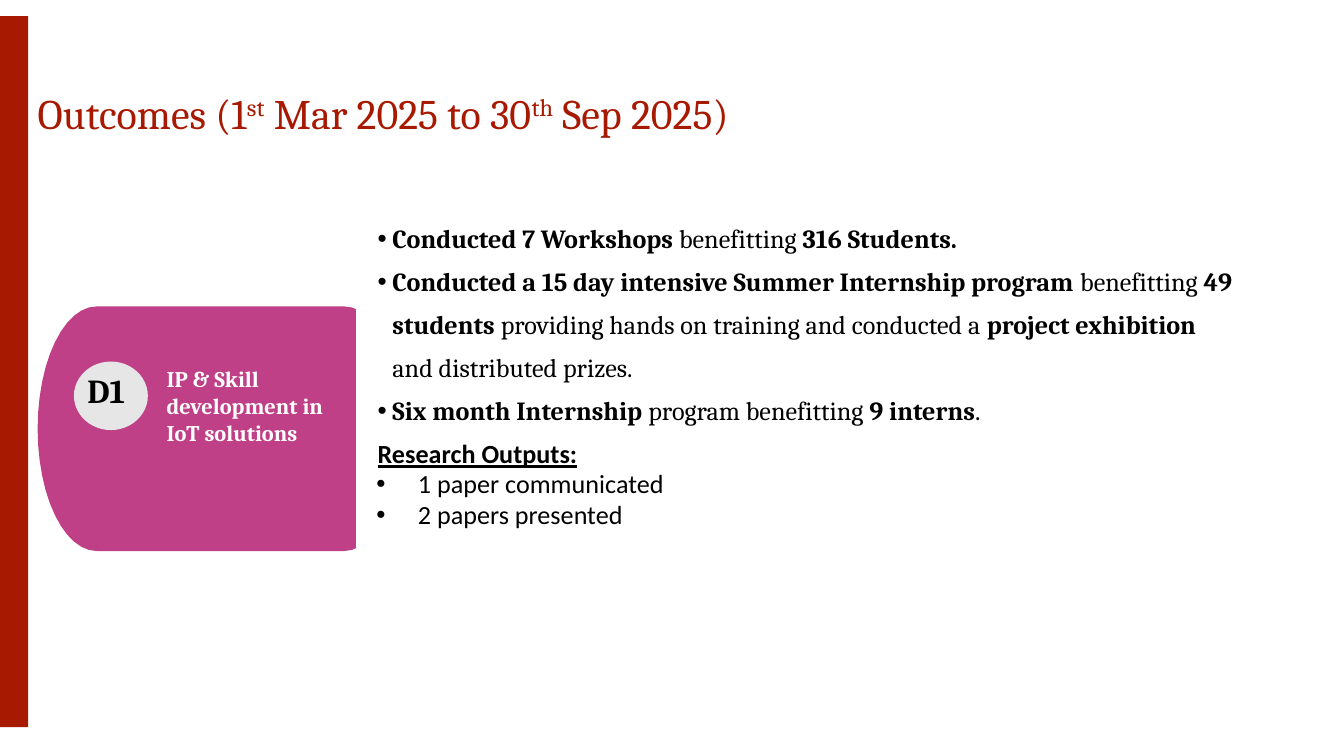
from math import cos, pi, sin

from lxml.etree import SubElement
from pptx import Presentation
from pptx.dml.color import RGBColor
from pptx.enum.shapes import MSO_SHAPE
from pptx.enum.text import MSO_ANCHOR, MSO_AUTO_SIZE, PP_ALIGN
from pptx.oxml.ns import qn
from pptx.util import Inches, Pt

RED = RGBColor(0xA7, 0x19, 0x01)
MAGENTA = RGBColor(0xC0, 0x40, 0x88)
GREY = RGBColor(0xE7, 0xE6, 0xE6)
WHITE = RGBColor(0xFF, 0xFF, 0xFF)
BLACK = RGBColor(0, 0, 0)

# Each run is its text and whether it is raised.
TITLE_RUNS = [("Outcomes (1", False), ("st", True), (" Mar 2025 to 30", False),
              ("th", True), (" Sep 2025)", False)]
# Each run is its text and whether it is bold.
OUTCOMES = [
    [("Conducted 7 Workshops", True), (" benefitting ", False), ("316 Students.", True)],
    [("Conducted a 15 day intensive Summer Internship program ", True),
     ("benefitting", False), (" 49 students ", True),
     ("providing hands on training and conducted a ", False),
     ("project exhibition ", True), ("and distributed prizes.", False)],
    [("Six month Internship ", True), ("program benefitting ", False),
     ("9 interns", True), (".", False)],
]
RESEARCH_OUTPUTS = ["1 paper communicated", "2 papers presented"]


def paint(shape, color):
    shape.shadow.inherit = False
    shape.fill.solid()
    shape.fill.fore_color.rgb = color
    shape.line.fill.background()


def add_block(slide, kind, left, top, width, height, color):
    shape = slide.shapes.add_shape(
        kind, Inches(left), Inches(top), Inches(width), Inches(height))
    paint(shape, color)


def add_pill(slide, left, top, width, height, end_width, color):
    """Draw a bar whose two ends are half ellipses, end_width wide."""
    steps = 24
    middle, half = top + height / 2, height / 2
    points = []
    for center, start in ((left + end_width, pi / 2),
                          (left + width - end_width, 3 * pi / 2)):
        for step in range(steps + 1):
            angle = start + pi * step / steps
            points.append((Inches(center + end_width * cos(angle)),
                           Inches(middle + half * sin(angle))))
    builder = slide.shapes.build_freeform(*points[0])
    builder.add_line_segments(points[1:], close=True)
    paint(builder.convert_to_shape(), color)


def set_frame(shape, left, top, width, height, inset_top=0.01):
    shape.left, shape.top = Inches(left), Inches(top)
    shape.width, shape.height = Inches(width), Inches(height)
    frame = shape.text_frame
    frame.word_wrap = True
    frame.auto_size = MSO_AUTO_SIZE.NONE
    frame.vertical_anchor = MSO_ANCHOR.TOP
    frame.margin_left = frame.margin_right = frame.margin_bottom = 0
    frame.margin_top = Inches(inset_top)
    return frame


def set_indent(paragraph, margin, indent=0):
    properties = paragraph._p.get_or_add_pPr()
    properties.set("marL", str(Inches(margin)))
    properties.set("indent", str(Inches(indent)))
    return properties


def add_run(paragraph, text, size, color, bold=False, font="Cambria"):
    run = paragraph.add_run()
    run.text = text
    run.font.name, run.font.size, run.font.bold = font, Pt(size), bold
    run.font.color.rgb = color
    return run


def add_label(slide, text, left, top, width, height, size, color):
    box = slide.shapes.add_textbox(0, 0, 0, 0)
    paragraph = set_frame(box, left, top, width, height).paragraphs[0]
    set_indent(paragraph, 0.01)
    add_run(paragraph, text, size, color, bold=True)


def fill_title(title):
    frame = set_frame(title, 0.26, 0.37, 6.99, 0.68, inset_top=0.28)
    paragraph = frame.paragraphs[0]
    paragraph.alignment = PP_ALIGN.LEFT
    set_indent(paragraph, 0.02)
    for text, raised in TITLE_RUNS:
        run = add_run(paragraph, text, 22.5, RED)
        if raised:
            run.font._element.set("baseline", "31000")


def format_item(paragraph, margin, indent, spacing, bullet=True):
    properties = set_indent(paragraph, margin, indent)
    if bullet:
        SubElement(properties, qn("a:buFont")).set("typeface", "Arial")
        SubElement(properties, qn("a:buChar")).set("char", "•")
    else:
        SubElement(properties, qn("a:buNone"))
    paragraph.line_spacing = spacing
    paragraph.space_before = Pt(0)


def fill_body(body):
    frame = set_frame(body, 2.8, 1.56, 6.38, 3.47)
    for index, runs in enumerate(OUTCOMES):
        paragraph = frame.add_paragraph() if index else frame.paragraphs[0]
        format_item(paragraph, 0.12, -0.11, 1.37)
        for text, bold in runs:
            add_run(paragraph, text, 14, BLACK, bold)

    heading = frame.add_paragraph()
    format_item(heading, 0.01, 0, 1.37, bullet=False)
    add_run(heading, "Research Outputs:", 14, BLACK, True, "Calibri").font.underline = True

    for text in RESEARCH_OUTPUTS:
        paragraph = frame.add_paragraph()
        format_item(paragraph, 0.31, -0.31, 0.98)
        add_run(paragraph, text, 14, BLACK, font="Calibri")


def main():
    presentation = Presentation()
    # A 16:9 page.
    presentation.slide_width = Inches(10)
    presentation.slide_height = Inches(10 * 9 / 16)
    slide = presentation.slides.add_slide(presentation.slide_layouts[1])
    title, body = slide.placeholders

    add_pill(slide, 0.28, 2.28, 2.72, 1.82, 0.44, MAGENTA)
    add_block(slide, MSO_SHAPE.RECTANGLE, 2.65, 1.31, 0.87, 4.29, WHITE)
    add_block(slide, MSO_SHAPE.OVAL, 0.55, 2.69, 0.55, 0.51, GREY)
    add_block(slide, MSO_SHAPE.RECTANGLE, 0, 0.12, 0.21, 5.29, RED)
    add_label(slide, "IP & Skill development in IoT solutions",
              1.23, 2.71, 1.21, 0.62, 12, WHITE)
    add_label(slide, "D1", 0.64, 2.74, 0.35, 0.31, 18, BLACK)

    fill_title(title)
    fill_body(body)
    # The list stands in front of the white panel.
    slide.shapes._spTree.append(body._element)
    presentation.save("out.pptx")


if __name__ == "__main__":
    main()
